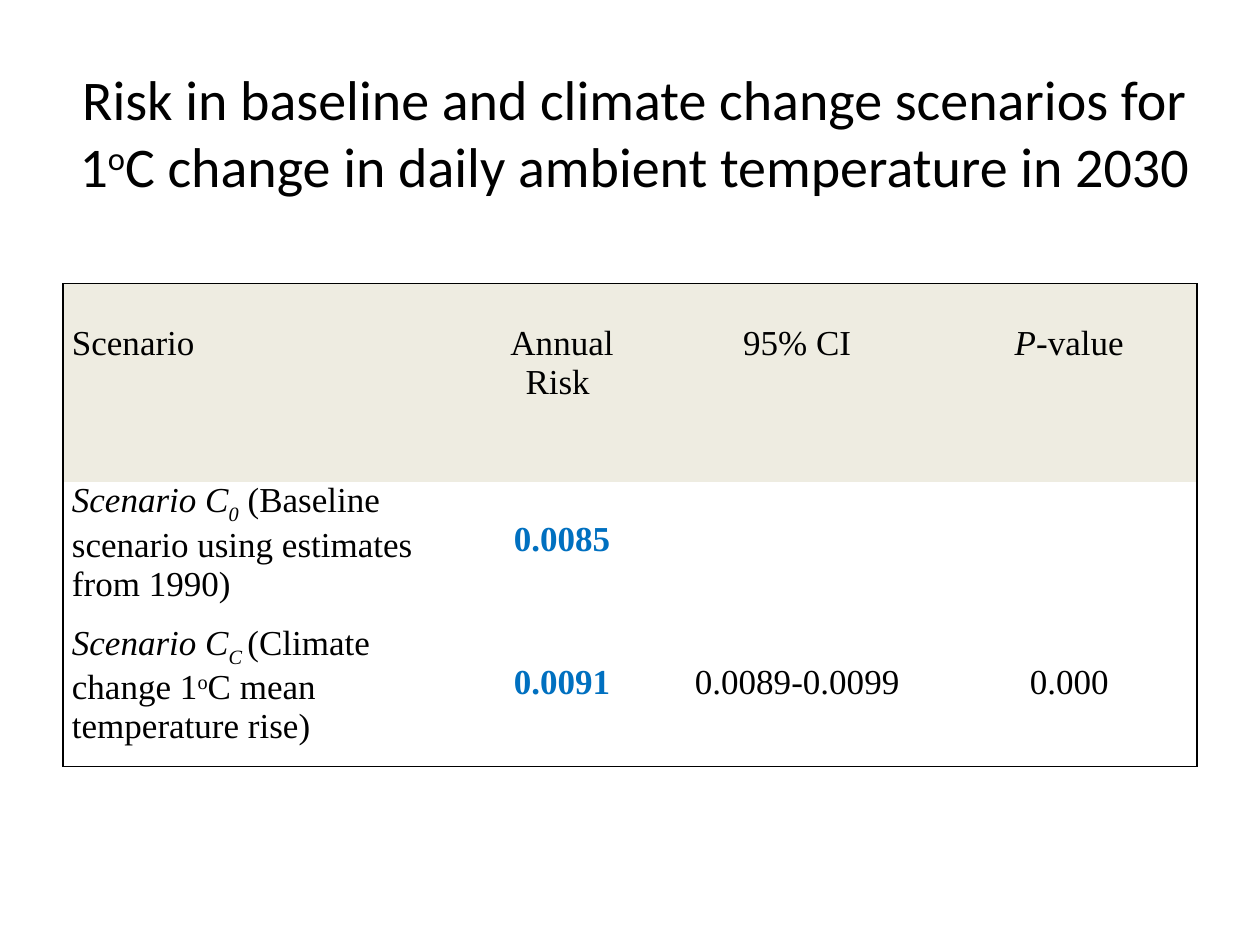
from dataclasses import dataclass

from lxml.etree import SubElement
from pptx import Presentation
from pptx.dml.color import RGBColor
from pptx.enum.text import MSO_ANCHOR as Anchor, PP_ALIGN as Align
from pptx.oxml.ns import qn
from pptx.util import Cm, Pt


@dataclass(frozen=True)
class Theme:
    ink: str = "000000"
    accent: str = "0070C0"
    header_fill: str = "EEECE1"
    title_font: str = "Calibri"
    table_font: str = "Times New Roman"
    title_size: int = 32
    table_size: int = 20
    border: float = 1


THEME = Theme()


def write(paragraph, text, font, size, color=THEME.ink, bold=False,
          italic=False, baseline=0):
    """Add one formatted run; baseline is a percentage shift."""
    run = paragraph.add_run()
    run.text = text
    run.font.name, run.font.size = font, Pt(size)
    run.font.bold, run.font.italic = bold, italic
    run.font.color.rgb = RGBColor.from_string(color)
    if baseline:
        run.font._element.set("baseline", str(baseline * 1000))


class SlideBuilder:
    def __init__(self, slide, theme):
        self.slide, self.theme = slide, theme

    def title(self, runs, left, top, width, height, lift):
        box = self.slide.shapes.add_textbox(Cm(left), Cm(top), Cm(width), Cm(height))
        frame = box.text_frame
        frame.word_wrap = True
        frame.vertical_anchor = Anchor.MIDDLE
        frame.margin_bottom = Cm(lift)
        paragraph = frame.paragraphs[0]
        paragraph.alignment = Align.CENTER
        for text, style in runs:
            write(paragraph, text, self.theme.title_font, self.theme.title_size, **style)

    def table(self, rows, left, top, widths, heights):
        shape = self.slide.shapes.add_table(
            len(heights), len(widths), Cm(left), Cm(top),
            Cm(sum(widths)), Cm(sum(heights)))
        table = shape.table
        table.horz_banding = table.first_row = False
        for column, width in zip(table.columns, widths):
            column.width = Cm(width)
        for row, height in zip(table.rows, heights):
            row.height = Cm(height)
        last_row, last_column = len(heights) - 1, len(widths) - 1
        for r, row in enumerate(rows):
            for c, runs in enumerate(row):
                cell = table.cell(r, c)
                self.borders(cell, L=c == 0, R=c == last_column,
                             T=r == 0, B=r == last_row)
                self.cell(cell, runs, header=r == 0, label=c == 0)

    def cell(self, cell, runs, header, label):
        cell.margin_left = cell.margin_right = Cm(0.18)
        cell.margin_top = Cm(0.81 if header else 0)
        cell.margin_bottom = 0
        if header:
            cell.fill.solid()
            cell.fill.fore_color.rgb = RGBColor.from_string(self.theme.header_fill)
        else:
            cell.fill.background()
        paragraph = cell.text_frame.paragraphs[0]
        paragraph.font.size = Pt(self.theme.table_size)
        paragraph.alignment = Align.LEFT if label else Align.CENTER
        if not (header or label):
            paragraph.line_spacing = 2.0
        for text, style in runs:
            write(paragraph, text, self.theme.table_font, self.theme.table_size, **style)

    def borders(self, cell, **sides):
        properties = cell._tc.get_or_add_tcPr()
        for side, visible in sides.items():
            line = SubElement(properties, qn(f"a:ln{side}"))
            if visible:
                line.set("w", str(Pt(self.theme.border)))
                fill = SubElement(line, qn("a:solidFill"))
                SubElement(fill, qn("a:srgbClr")).set("val", self.theme.ink)
            else:
                SubElement(line, qn("a:noFill"))


# Run styles
PLAIN = {}
ITALIC = {"italic": True}
SUBSCRIPT = {"italic": True, "baseline": -25}
SUPERSCRIPT = {"baseline": 30}
RISK = {"bold": True, "color": THEME.accent}

# Slide
presentation = Presentation()
presentation.slide_width, presentation.slide_height = Cm(25.4), Cm(19.05)
builder = SlideBuilder(
    presentation.slides.add_slide(presentation.slide_layouts[6]), THEME)

# Title
builder.title(
    [("Risk in baseline and climate change scenarios for 1", PLAIN),
     ("o", SUPERSCRIPT),
     ("C change in daily ambient temperature in 2030", PLAIN)],
    left=1.27, top=1.7, width=23.06, height=3.18, lift=1.4)

# Risk table
builder.table(
    [
        [[("Scenario", PLAIN)],
         [("Annual Risk ", PLAIN)],
         [("95% CI", PLAIN)],
         [("P", ITALIC), ("-value", PLAIN)]],
        [[("Scenario C", ITALIC), ("0", SUBSCRIPT),
          (" (Baseline scenario using estimates from 1990)", PLAIN)],
         [("0.0085", RISK)], [], []],
        [[("Scenario C", ITALIC), ("C ", SUBSCRIPT), ("(Climate change 1", PLAIN),
          ("o", SUPERSCRIPT), ("C mean temperature rise)", PLAIN)],
         [("0.0091", RISK)],
         [("0.0089-0.0099", PLAIN)],
         [("0.000", PLAIN)]],
    ],
    left=1.27, top=5.72, widths=[8.23, 3.66, 5.82, 5.15], heights=[3.99, 2.87, 2.87])

presentation.save("out.pptx")
